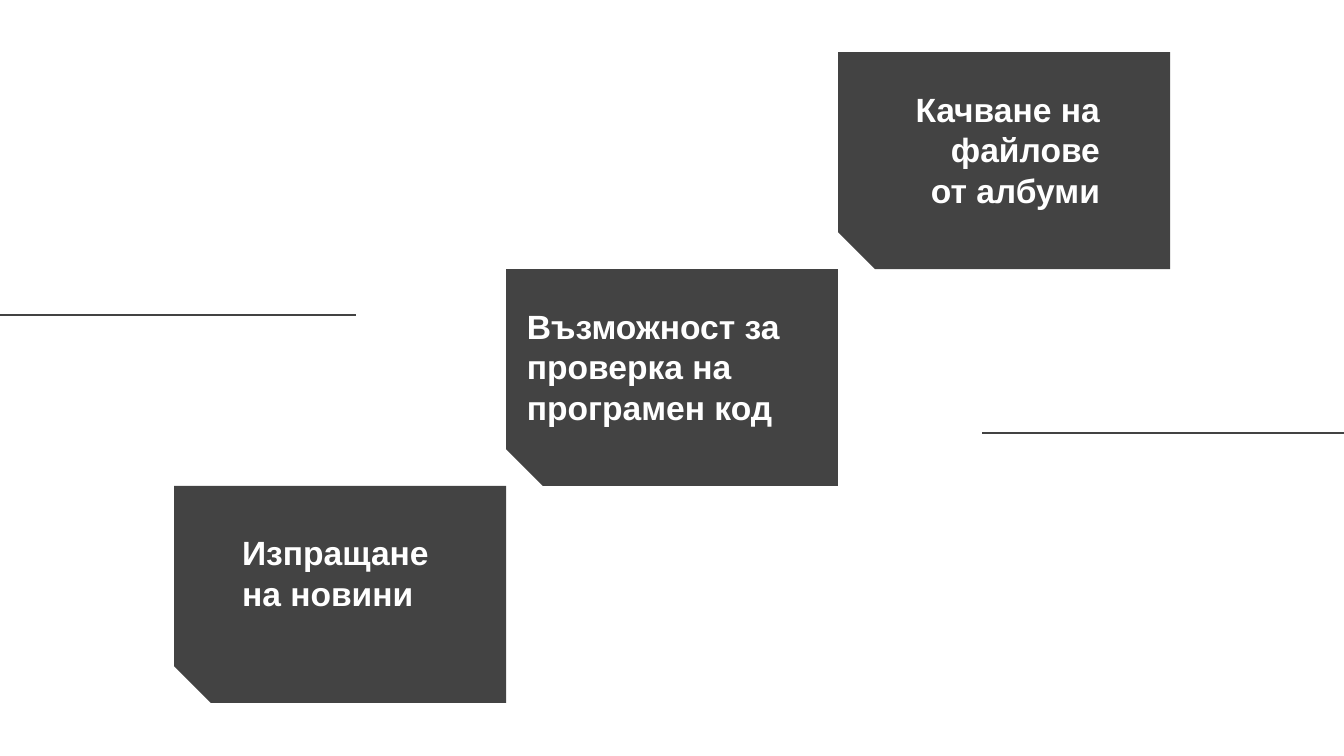
from pptx import Presentation
from pptx.dml.color import RGBColor
from pptx.enum.shapes import MSO_CONNECTOR, MSO_SHAPE
from pptx.enum.text import MSO_ANCHOR, MSO_AUTO_SIZE, PP_ALIGN
from pptx.oxml.ns import qn
from pptx.util import Emu, Pt
from lxml.etree import SubElement

EMU_PER_PX = 914400 / 134.4
DARK = "434343"
WHITE = "FFFFFF"
STEP_WIDTH, STEP_HEIGHT = 332, 217
FIRST_LEFT, FIRST_TOP = 174, 486


def px(value):
    return Emu(round(value * EMU_PER_PX))


def color(value):
    return RGBColor.from_string(value)


def add_step(slide, index):
    left = FIRST_LEFT + index * STEP_WIDTH
    top = FIRST_TOP - index * STEP_HEIGHT
    shape = slide.shapes.add_shape(
        MSO_SHAPE.SNIP_1_RECTANGLE, px(left), px(top), px(STEP_WIDTH), px(STEP_HEIGHT)
    )
    shape.rotation = 180
    shape.adjustments[0] = 0.17
    shape.shadow.inherit = False
    shape.fill.solid()
    shape.fill.fore_color.rgb = color(DARK)
    shape.line.fill.background()


def add_rule(slide, start, end, y):
    connector = slide.shapes.add_connector(
        MSO_CONNECTOR.STRAIGHT, px(start), px(y), px(end), px(y)
    )
    connector.line.color.rgb = color(DARK)
    connector.line.width = Pt(0.75)
    SubElement(connector._element.spPr, qn("a:effectLst"))


def format_label(shape, text, left, top, width, alignment):
    shape.left, shape.top, shape.width, shape.height = map(px, (left, top, width, 62))
    text_frame = shape.text_frame
    text_frame.text = text
    text_frame.word_wrap = True
    text_frame.auto_size = MSO_AUTO_SIZE.NONE
    text_frame.vertical_anchor = MSO_ANCHOR.BOTTOM
    text_frame.margin_left = text_frame.margin_right = px(13)
    text_frame.margin_top = text_frame.margin_bottom = px(13)
    paragraph = text_frame.paragraphs[0]
    paragraph.alignment = alignment
    font = paragraph.runs[0].font
    font.name = "Arial"
    font.size = Pt(18)
    font.bold = True
    font.color.rgb = color(WHITE)


def add_label(slide, *settings):
    format_label(slide.shapes.add_textbox(0, 0, 0, 0), *settings)


def main():
    presentation = Presentation()
    presentation.slide_width, presentation.slide_height = px(1344), px(756)
    slide = presentation.slides.add_slide(presentation.slide_layouts[5])
    for index in range(3):
        add_step(slide, index)
    add_rule(slide, 1363, 982, 433)
    add_rule(slide, 356, -3, 315)

    title = slide.shapes.title
    slide.shapes._spTree.append(title._element)
    format_label(title, "Изпращане на новини", 229, 564, 222, PP_ALIGN.LEFT)
    add_label(slide, "Възможност за проверка на програмен код", 514, 378, 361, PP_ALIGN.LEFT)
    add_label(slide, "Качване на файлове от албуми", 898, 161, 215, PP_ALIGN.RIGHT)
    presentation.save("out.pptx")


if __name__ == "__main__":
    main()
